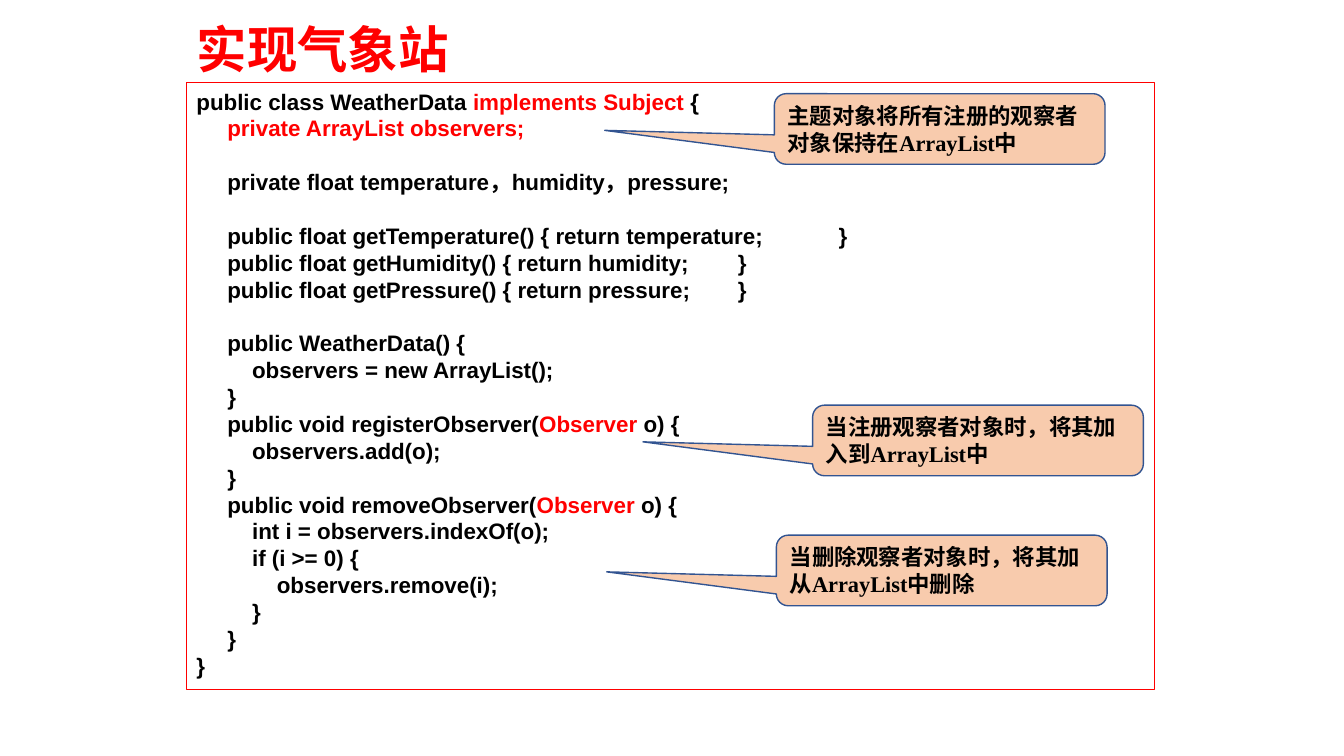
from pptx import Presentation
from pptx import util as u
from pptx.dml.color import RGBColor
from pptx.enum import shapes, text
from lxml import etree

TITLE = "实现气象站"
RED, BLACK, WHITE, PEACH, BLUE = "FF0000", "000000", "FFFFFF", "F8CBAD", "325491"
SIZE, PITCH = 16, 19.2
STOPS = (5.37, 6.37)
CODE = [
    [("public class WeatherData ", BLACK), ("implements Subject ", RED), ("{", BLACK)],
    [("     private ArrayList observers;", RED)],
    [],
    [("     private float temperature，humidity，pressure;", BLACK)],
    [],
    [("     public float getTemperature() { return temperature;\t}", BLACK)],
    [("     public float getHumidity() { return humidity;\t}", BLACK)],
    [("     public float getPressure() { return pressure;\t}", BLACK)],
    [],
    [("     public WeatherData() {", BLACK)],
    [("         observers = new ArrayList();", BLACK)],
    [("     }", BLACK)],
    [("     public void registerObserver(", BLACK), ("Observer ", RED), ("o) {", BLACK)],
    [("         observers.add(o);", BLACK)],
    [("     }", BLACK)],
    [("     public void removeObserver(", BLACK), ("Observer ", RED), ("o) {", BLACK)],
    [("         int i = observers.indexOf(o);", BLACK)],
    [("         if (i >= 0) {", BLACK)],
    [("             observers.remove(i);", BLACK)],
    [("         }", BLACK)],
    [("     }", BLACK)],
    [("}", BLACK)],
]
NOTES = [
    (7.68, 0.93, "主题对象将所有注册的观察者对象保持在ArrayList中"),
    (8.06, 4.02, "当注册观察者对象时，将其加入到ArrayList中"),
    (7.7, 5.31, "当删除观察者对象时，将其加从ArrayList中删除"),
]


def color(code):
    return RGBColor.from_string(code)


def add_run(para, words, face, size, code):
    run = para.add_run()
    run.text = words
    font = run.font
    font.name, font.size, font.bold = face, u.Pt(size), True
    font.color.rgb = color(code)


def add_box(kind, area, fill, line, width, anchor):
    box = slide.shapes.add_shape(kind, *map(u.Inches, area))
    box.shadow.inherit = False
    box.fill.solid()
    box.fill.fore_color.rgb = color(fill)
    box.line.color.rgb = color(line)
    box.line.width = u.Pt(width)
    box.text_frame.word_wrap = True
    box.text_frame.vertical_anchor = anchor
    box.text_frame.paragraphs[0].alignment = text.PP_ALIGN.LEFT
    return box


def add_stops(para):
    props = para._p.get_or_add_pPr()
    space = props.nsmap["a"]
    tabs = etree.SubElement(props, f"{{{space}}}tabLst")
    for stop in STOPS:
        etree.SubElement(tabs, f"{{{space}}}tab", pos=str(u.Inches(stop)), algn="l")


deck = Presentation()
deck.slide_width, deck.slide_height = u.Inches(13.33), u.Inches(7.5)
slide = deck.slides.add_slide(deck.slide_layouts[5])

title = slide.shapes.title
title.left, title.top, title.width, title.height = map(u.Inches, (1.85, 0.13, 9.25, 0.7))
frame = title.text_frame
frame.auto_size = text.MSO_AUTO_SIZE.NONE
frame.vertical_anchor = text.MSO_ANCHOR.MIDDLE
head = frame.paragraphs[0]
head.alignment = text.PP_ALIGN.LEFT
add_run(head, TITLE, "Arial", 36, RED)

panel = add_box(shapes.MSO_SHAPE.RECTANGLE, (1.85, 0.82, 9.6, 6.02),
                WHITE, RED, 0.75, text.MSO_ANCHOR.TOP)
frame = panel.text_frame
gap = False
for row, line in enumerate(CODE):
    if not line:
        gap = True
        continue
    para = frame.add_paragraph() if row else frame.paragraphs[0]
    para.alignment = text.PP_ALIGN.LEFT
    para.line_spacing = u.Pt(PITCH)
    if gap:
        para.space_before = u.Pt(PITCH)
    gap = False
    add_stops(para)
    for words, code in line:
        add_run(para, words, "Arial", SIZE, code)

for left, top, words in NOTES:
    note = add_box(shapes.MSO_SHAPE.ROUNDED_RECTANGULAR_CALLOUT, (left, top, 3.28, 0.7),
                   PEACH, BLUE, 1, text.MSO_ANCHOR.MIDDLE)
    for spot, value in enumerate((-1.013, 0.02, 0.167)):
        note.adjustments[spot] = value
    add_run(note.text_frame.paragraphs[0], words, "Times New Roman", SIZE, BLACK)

deck.save("out.pptx")
